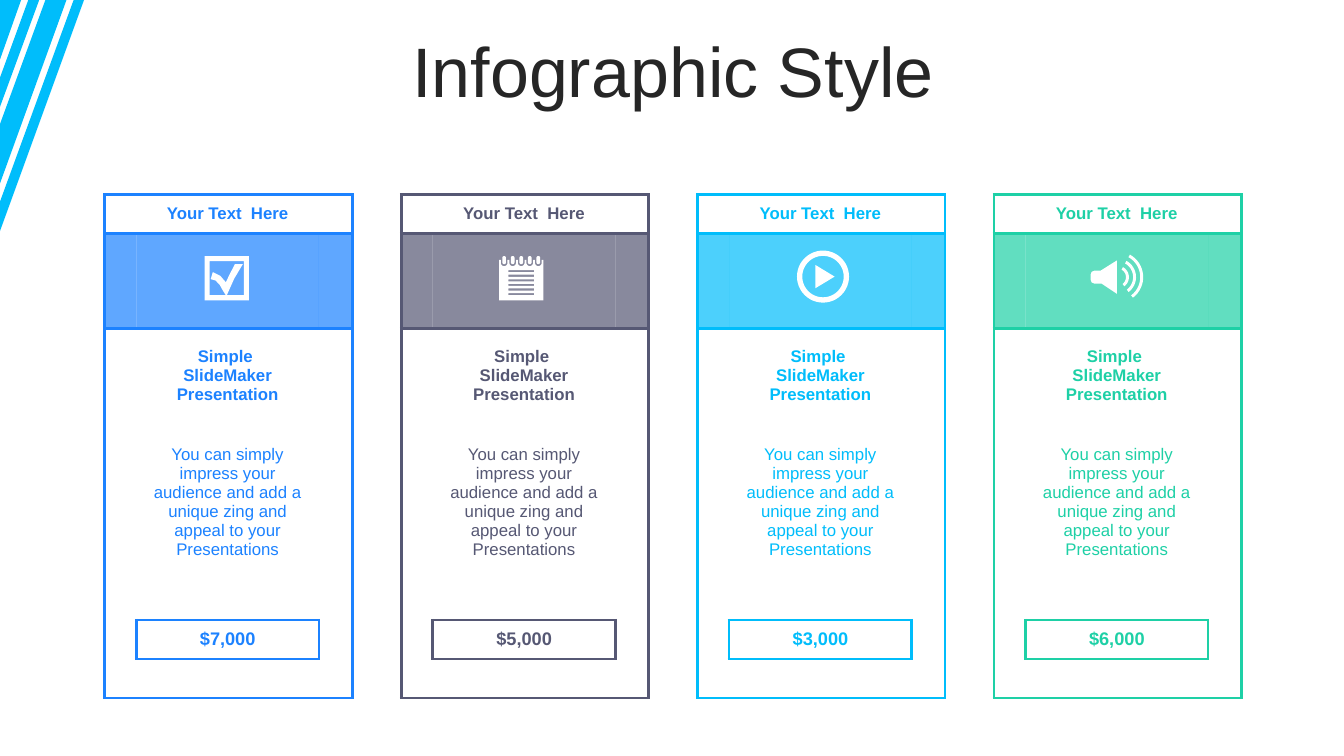
from math import cos, radians, sin

from lxml.etree import SubElement
from pptx import Presentation
from pptx.dml.color import RGBColor
from pptx.enum.text import MSO_ANCHOR, MSO_AUTO_SIZE, PP_ALIGN
from pptx.oxml.ns import qn
from pptx.util import Pt

COLORS = {
    "blue": "1C82FF",
    "slate": "565874",
    "sky": "00BDFB",
    "green": "1ED0A6",
    "white": "FFFFFF",
    "ink": "262626",
}
FONT = "Arial"
TITLE = "Infographic Style"
HEADING = "Your Text  Here"
SUBTITLE = ["Simple ", "SlideMaker Presentation"]
DESCRIPTION = (
    "You can simply impress your audience and add a unique zing "
    "and appeal to your Presentations"
)
CARDS = [
    {"color": "blue", "price": "$7,000", "icon": "check", "center": (162, 198.7)},
    {"color": "slate", "price": "$5,000", "icon": "notepad", "center": (372.3, 198.7)},
    {"color": "sky", "price": "$3,000", "icon": "play", "center": (587.9, 197.6)},
    {"color": "green", "price": "$6,000", "icon": "speaker", "center": (797.8, 198)},
]
STRIPES = [
    [(52.6, 0), (60, 0), (0, 165), (0, 144)],
    [(28, 0), (0, 76.3), (0, 55.4), (20.2, 0)],
    [(47.5, 0), (0, 131), (0, 88.6), (32.4, 0)],
    [(0, 0), (15.1, 0), (0, 42.5)],
]
TICK = [
    (-0.7, 12.2), (-3, 8.5), (-5, 4.9), (-8, 1.7), (-11.5, 0.7),
    (-10, -4.3), (-4.6, -1.6), (-0.7, 2.9), (2.5, -3.6), (5.8, -10.1),
    (11.5, -10.1), (5.3, 0.3), (0, 12.2),
]
SPEAKER_BODY = [
    (0, -11.9), (0, 11.9), (-10.8, 4.7), (-15.8, 4.7), (-18, 3.8),
    (-18.7, 2), (-18.7, -2), (-18, -3.8), (-15.8, -4.7), (-11.5, -4.7),
]

CARD_LEFT, CARD_TOP, CARD_STEP = 74.9, 139, 211.7
COLUMN_WIDTHS = [22.5, 130.5, 23.8]
ROW_HEIGHTS = [26.4, 67.7, 67.7, 113, 26.4, 27.6, 26.4]
ICON_ROW, PRICE_ROW = 1, 5
FULL_RULES = (0, 1, 2, len(ROW_HEIGHTS))
BORDER = 2.25


def color_of(name):
    return RGBColor.from_string(COLORS[name])


def arc(x, y, radius, start, end, steps=16):
    angles = [radians(start + (end - start) * i / steps) for i in range(steps + 1)]
    return [(x + radius * cos(a), y + radius * sin(a)) for a in angles]


def box(left, top, right, bottom):
    return [(left, top), (right, top), (right, bottom), (left, bottom)]


def check_icon():
    return [box(-15.8, -15.8, 15.8, 15.8), box(-12.2, -12.2, 12.2, 12.2), TICK]


def play_icon():
    circles = [arc(0, 0, radius, 0, 360, 48) for radius in (18.6, 14.8)]
    return circles + [[(-5.4, -8.3), (8.3, 0), (-5.4, 8.3)]]


def notepad_icon():
    ring_centers = [-12.2 + 6.1 * i for i in range(5)]
    line_tops = [-5.76 + 3.28 * i for i in range(6)]
    page = [(-15.8, -13)]
    for x in ring_centers:
        page += [(x - 2.4, -13), *arc(x, -11, 2.4, 180, 0), (x + 2.4, -13)]
    page += [(15.8, -13), (15.8, 15.8), (-15.8, 15.8)]
    rings = [
        arc(x, -14.5, 1.3, 180, 360) + arc(x, -11.3, 1.3, 0, 180)
        for x in ring_centers
    ]
    return [page] + rings + [box(-9.2, top, 9.2, top + 1.5) for top in line_tops]


def speaker_icon():
    waves = [
        arc(0.4, 0, radius, -61, 53) + arc(0.4, 0, radius - 2.1, 53, -61)
        for radius in (8.2, 13.3, 18.4)
    ]
    return [SPEAKER_BODY] + waves


ICONS = {
    "check": check_icon,
    "notepad": notepad_icon,
    "play": play_icon,
    "speaker": speaker_icon,
}


def add_outline(slide, contours, center, color):
    placed = [[(Pt(center[0] + x), Pt(center[1] + y)) for x, y in c] for c in contours]
    builder = slide.shapes.build_freeform(*placed[0][0])
    for index, contour in enumerate(placed):
        if index:
            builder.move_to(*contour[0])
        builder.add_line_segments(contour[1:], close=True)
    shape = builder.convert_to_shape()
    shape.shadow.inherit = False
    shape.fill.solid()
    shape.fill.fore_color.rgb = color_of(color)
    shape.line.fill.background()


def write(text_frame, lines, size, color, bold=False):
    for index, line in enumerate(lines):
        paragraph = text_frame.add_paragraph() if index else text_frame.paragraphs[0]
        paragraph.alignment = PP_ALIGN.CENTER
        run = paragraph.add_run()
        run.text = line
        run.font.name = FONT
        run.font.size = Pt(size)
        run.font.bold = bold
        run.font.color.rgb = color_of(color)


def rule_across(row, column):
    return row in FULL_RULES or (column == 1 and row in (PRICE_ROW, PRICE_ROW + 1))


def rule_down(row, column):
    return column in (0, len(COLUMN_WIDTHS)) or row == PRICE_ROW


def style_cell(cell, row, column, color):
    cell.margin_left = cell.margin_right = Pt(5.8)
    cell.margin_top = cell.margin_bottom = Pt(2.9)
    cell.vertical_anchor = MSO_ANCHOR.MIDDLE
    properties = cell._tc.get_or_add_tcPr()
    edges = {
        "a:lnL": rule_down(row, column),
        "a:lnR": rule_down(row, column + 1),
        "a:lnT": rule_across(row, column),
        "a:lnB": rule_across(row + 1, column),
    }
    for tag, visible in edges.items():
        line = SubElement(properties, qn(tag), w=str(Pt(BORDER) if visible else 0))
        if visible:
            fill = SubElement(line, qn("a:solidFill"))
            SubElement(fill, qn("a:srgbClr"), val=COLORS[color])
        else:
            SubElement(line, qn("a:noFill"))
    cell.fill.solid()
    cell.fill.fore_color.rgb = color_of(color if row == ICON_ROW else "white")
    if row == ICON_ROW:
        fill_color = properties.find(qn("a:solidFill")).find(qn("a:srgbClr"))
        SubElement(fill_color, qn("a:alpha"), val="70000")


def add_card(slide, index, card):
    color = card["color"]
    table = slide.shapes.add_table(
        len(ROW_HEIGHTS), len(COLUMN_WIDTHS),
        Pt(CARD_LEFT + index * CARD_STEP), Pt(CARD_TOP),
        Pt(sum(COLUMN_WIDTHS)), Pt(sum(ROW_HEIGHTS)),
    ).table
    table.first_row = table.horz_banding = False
    for column, width in enumerate(COLUMN_WIDTHS):
        table.columns[column].width = Pt(width)
    for row, height in enumerate(ROW_HEIGHTS):
        table.rows[row].height = Pt(height)
        for column in range(len(COLUMN_WIDTHS)):
            style_cell(table.cell(row, column), row, column, color)
    write(table.cell(0, 1).text_frame, [HEADING], 12, color, bold=True)
    write(table.cell(2, 1).text_frame, SUBTITLE, 12, color, bold=True)
    write(table.cell(3, 1).text_frame, [DESCRIPTION], 12, color)
    write(table.cell(PRICE_ROW, 1).text_frame, [card["price"]], 13, color, bold=True)


def main():
    presentation = Presentation()
    presentation.slide_width, presentation.slide_height = Pt(960), Pt(540)
    slide = presentation.slides.add_slide(presentation.slide_layouts[5])
    title = slide.shapes.title
    title.left, title.top, title.width, title.height = Pt(25.2), Pt(26.6), Pt(911.5), Pt(56.9)
    title.text_frame.auto_size = MSO_AUTO_SIZE.NONE
    title.text_frame.vertical_anchor = MSO_ANCHOR.MIDDLE
    write(title.text_frame, [TITLE], 50, "ink")
    title.text_frame.paragraphs[0].line_spacing = 0.8

    add_outline(slide, STRIPES, (0, 0), "sky")
    for index, card in enumerate(CARDS):
        add_card(slide, index, card)
        add_outline(slide, ICONS[card["icon"]](), card["center"], "white")
    presentation.save("out.pptx")


if __name__ == "__main__":
    main()
